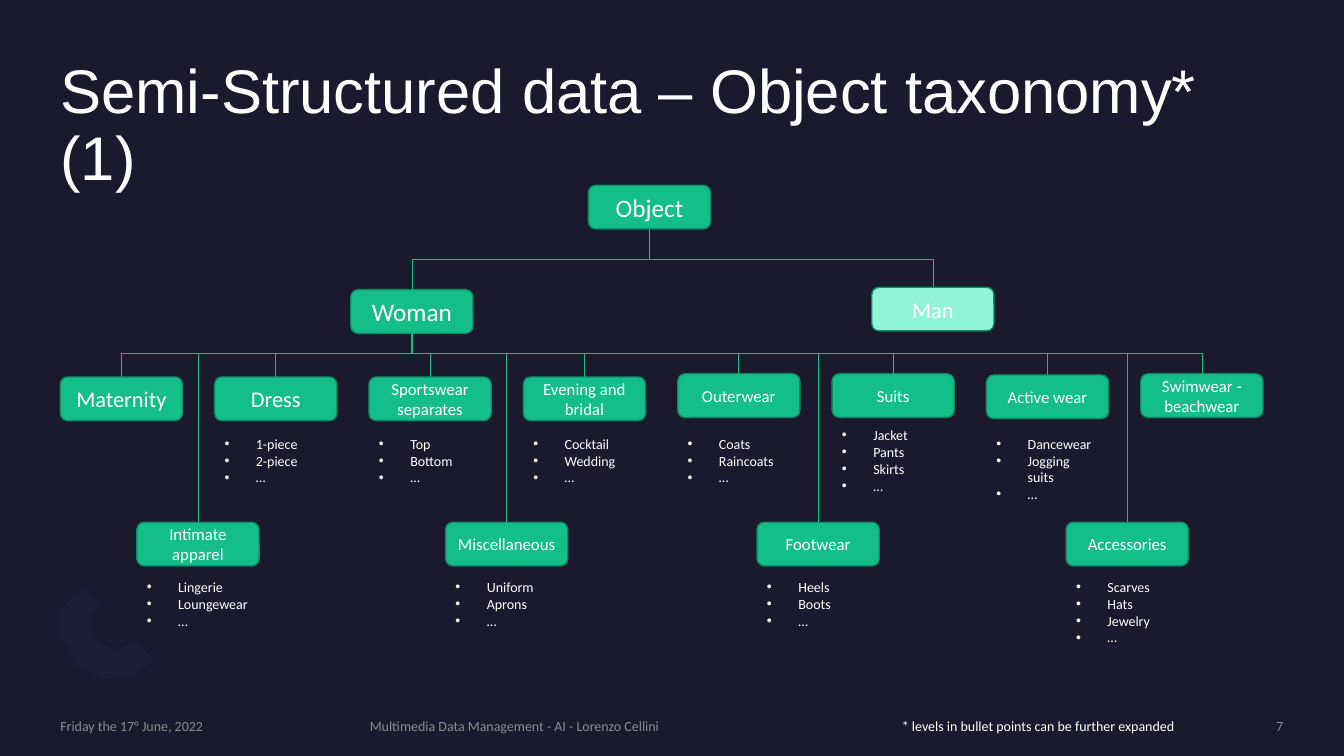
from lxml import etree
from pptx import Presentation
from pptx.dml.color import RGBColor
from pptx.enum.shapes import MSO_CONNECTOR, MSO_SHAPE
from pptx.enum.text import MSO_ANCHOR, PP_ALIGN
from pptx.oxml.ns import qn
from pptx.util import Cm, Pt

ELBOW = MSO_CONNECTOR.ELBOW
ROUND, OVAL = MSO_SHAPE.ROUNDED_RECTANGLE, MSO_SHAPE.OVAL
MID, TOP = MSO_ANCHOR.MIDDLE, MSO_ANCHOR.TOP
LEFT, MIDDLE, RIGHT = PP_ALIGN.LEFT, PP_ALIGN.CENTER, PP_ALIGN.RIGHT

# Content
TITLE = "Semi-Structured data – Object taxonomy* (1)"
NOTE = "* levels in bullet points can be further expanded"
# label, top, size, bullets
UPPER = [
    ("Maternity", 9.5, 16, []),
    ("Dress", 9.5, 16, ["1-piece", "2-piece", "…"]),
    ("Sportswear separates", 9.5, 12, ["Top", "Bottom", "…"]),
    ("Evening and bridal", 9.5, 12, ["Cocktail", "Wedding", "…"]),
    ("Outerwear", 9.42, 12, ["Coats", "Raincoats", "…"]),
    ("Suits", 9.42, 12, ["Jacket", "Pants", "Skirts", "…"]),
    ("Active wear", 9.45, 12, ["Dancewear", "Jogging suits", "…"]),
    ("Swimwear - beachwear", 9.42, 12, []),
]
# label, left, bullets
LOWER = [
    ("Intimate apparel", 3.45, ["Lingerie", "Loungewear", "…"]),
    ("Miscellaneous", 11.23, ["Uniform", "Aprons", "…"]),
    ("Footwear", 19.08, ["Heels", "Boots", "…"]),
    ("Accessories", 26.87, ["Scarves", "Hats", "Jewelry", "…"]),
]
# text, left, width, alignment
FOOTER = [
    ("Friday the 17° June, 2022", 1.52, 7.32, LEFT),
    ("Multimedia Data Management - AI - Lorenzo Cellini", 9.32, 17.73, LEFT),
    ("7", 27.64, 4.7, RIGHT),
]

# Measures in cm
BOX_W, BOX_H = 3.08, 1.1
EDGE, STEP = 1.52, 3.89
LOW_TOP, LOW_LIST = 13.16, 14.45
LIST_MID, LINE_H, PAD = 11.62, 0.43, 0.26
BEND_1, BEND_2 = 6.53, 8.9

GREEN, MINT, RIM = "13BE89", "92F4D6", "0E8D65"
WHITE, GREY, NIGHT = "FFFFFF", "8A8A8E", "1B192E"
LEAF, ARC = "2C284A", "1F1D33"


def color(code):
    return RGBColor.from_string(code)


def paint(shape, fill, rim=None):
    shape.shadow.inherit = False
    shape.fill.solid()
    shape.fill.fore_color.rgb = color(fill)
    if rim:
        shape.line.color.rgb = color(rim)
        shape.line.width = Pt(1)
    else:
        shape.line.fill.background()


def style(para, size, tint=WHITE, align=LEFT, face="Calibri"):
    para.alignment = align
    para.font.size = Pt(size)
    para.font.name = face
    para.font.color.rgb = color(tint)


def strip(frame):
    frame.margin_left = frame.margin_right = 0
    frame.margin_top = frame.margin_bottom = 0


def text(left, top, width, height):
    frame = slide.shapes.add_textbox(
        Cm(left), Cm(top), Cm(width), Cm(height)).text_frame
    frame.word_wrap = True
    return frame


def node(label, left, top, size, fill=GREEN):
    box = slide.shapes.add_shape(ROUND, Cm(left), Cm(top), Cm(BOX_W), Cm(BOX_H))
    paint(box, fill, RIM)
    frame = box.text_frame
    frame.word_wrap = True
    frame.vertical_anchor = MID
    frame.text = label
    style(frame.paragraphs[0], size, WHITE, MIDDLE)
    return left, top


def bullets(items, left, top):
    frame = text(left, top, BOX_W, len(items) * LINE_H + PAD)
    frame.text = "\n".join(items)
    for para in frame.paragraphs:
        props = para._p.get_or_add_pPr()
        props.set("marL", str(Cm(0.79)))
        props.set("indent", str(Cm(-0.79)))
        etree.SubElement(props, qn("a:buFont")).set("typeface", "Arial")
        etree.SubElement(props, qn("a:buChar")).set("char", "•")
        style(para, 10)


def link(start, end, bend):
    """Elbow from the foot of one box to the head of another, bent at a height."""
    x1, y1 = start[0] + BOX_W / 2, start[1] + BOX_H
    x2, y2 = end[0] + BOX_W / 2, end[1]
    mid_x, mid_y = (x1 + x2) / 2, (y1 + y2) / 2
    half_w, half_h = (y2 - y1) / 2, (x2 - x1) / 2
    # Laid out sideways, then turned a quarter so that it leaves downwards
    line = slide.shapes.add_connector(
        ELBOW, Cm(mid_x - half_w), Cm(mid_y + half_h),
        Cm(mid_x + half_w), Cm(mid_y - half_h))
    line.line.color.rgb = color(GREEN)
    line.line.width = Pt(0.5)
    props = line._element.spPr
    props.find(qn("a:xfrm")).set("rot", "5400000")
    guide = etree.SubElement(props.find(qn("a:prstGeom")).find(qn("a:avLst")), qn("a:gd"))
    guide.set("name", "adj1")
    guide.set("fmla", f"val {round((bend - y1) / (y2 - y1) * 100000)}")
    etree.SubElement(props, qn("a:effectLst"))


deck = Presentation()
deck.slide_width, deck.slide_height = Cm(33.87), Cm(19.05)
slide = deck.slides.add_slide(deck.slide_layouts[5])
slide.background.fill.solid()
slide.background.fill.fore_color.rgb = color(NIGHT)

# Corner ornament
for left, top in [(3.43, 16.18), (2.08, 14.81)]:
    leaf = slide.shapes.add_shape(OVAL, Cm(left), Cm(top), Cm(0.15), Cm(0.66))
    leaf.rotation = 135
    paint(leaf, LEAF)
curve = [(1.93, 16.74), (1.5, 16), (1.52, 15.4), (2.06, 14.78), (2.51, 15.24),
         (2.24, 15.7), (2.44, 16.21), (2.95, 16.4), (3.43, 16.15),
         (3.86, 16.61), (3.3, 17.05), (2.6, 17.13)]
points = [(Cm(x), Cm(y)) for x, y in curve]
pen = slide.shapes.build_freeform(*points[0])
pen.add_line_segments(points[1:])
paint(pen.convert_to_shape(), ARC)

# Title
title = slide.shapes.title
title.left, title.top, title.width, title.height = Cm(EDGE), Cm(1.52), Cm(30.81), Cm(3.71)
head = title.text_frame
head.text = TITLE
head.word_wrap = True
head.vertical_anchor = TOP
strip(head)
style(head.paragraphs[0], 44, face="Arial")
head.paragraphs[0].line_spacing = 0.9

# Top of the tree
root = node("Object", 14.83, 4.67, 18)
woman = node("Woman", 8.84, 7.3, 18)
man = node("Man", 21.97, 7.24, 16, MINT)
link(root, woman, BEND_1)
link(root, man, BEND_1)

# Categories
for i, (label, top, size, items) in enumerate(UPPER):
    left = EDGE + i * STEP
    link(woman, node(label, left, top, size), BEND_2)
    if items:
        bullets(items, left, LIST_MID - (len(items) * LINE_H + PAD) / 2)
for label, left, items in LOWER:
    link(woman, node(label, left, LOW_TOP, 12), BEND_2)
    bullets(items, left, LOW_LIST)

# Footer
for label, left, width, align in FOOTER:
    frame = text(left, 18.08, width, 0.43)
    strip(frame)
    frame.vertical_anchor = MID
    frame.text = label
    style(frame.paragraphs[0], 10, GREY, align)
note = text(22.48, 17.96, 8.43, 0.69)
note.text = NOTE
style(note.paragraphs[0], 10)

deck.save("out.pptx")
